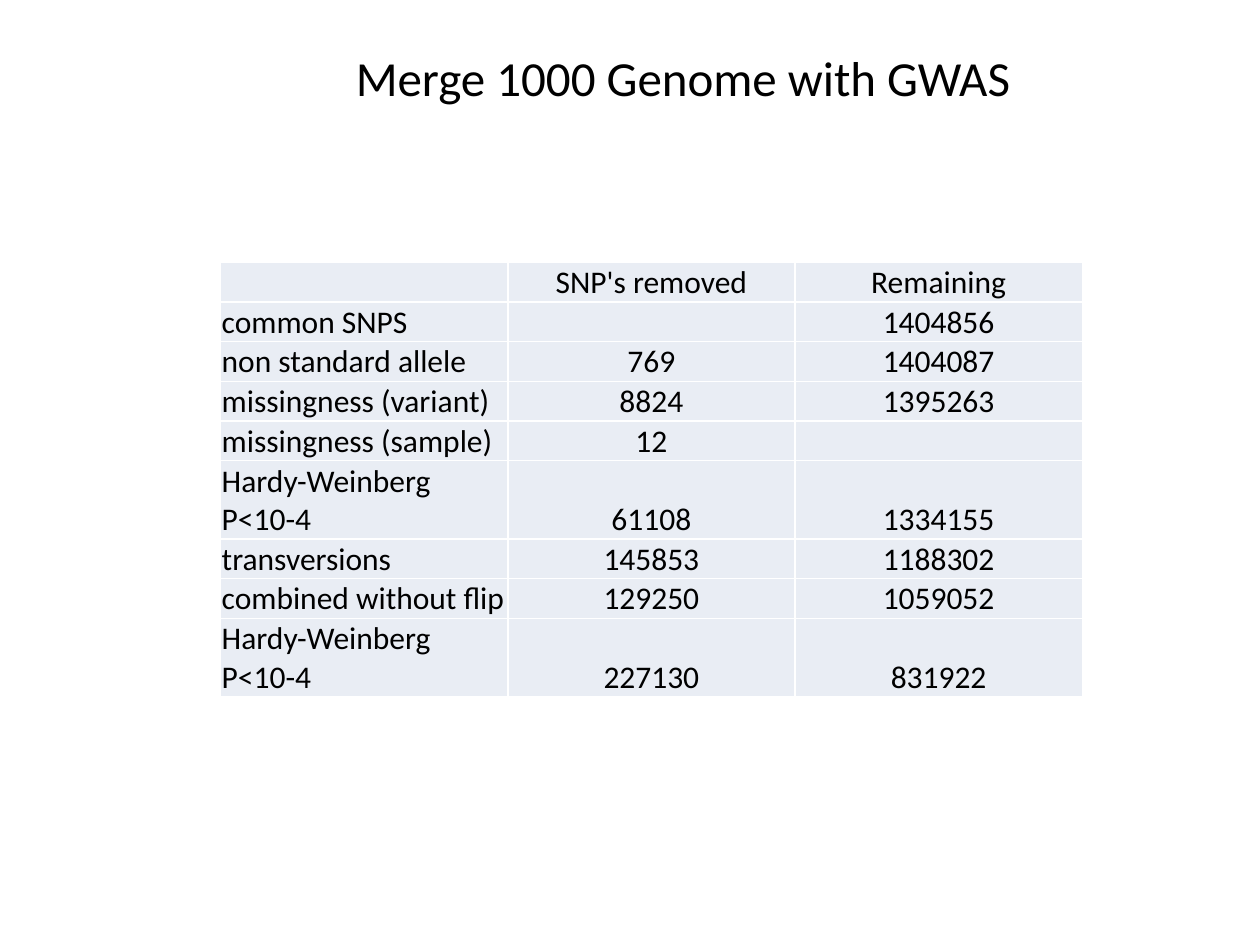
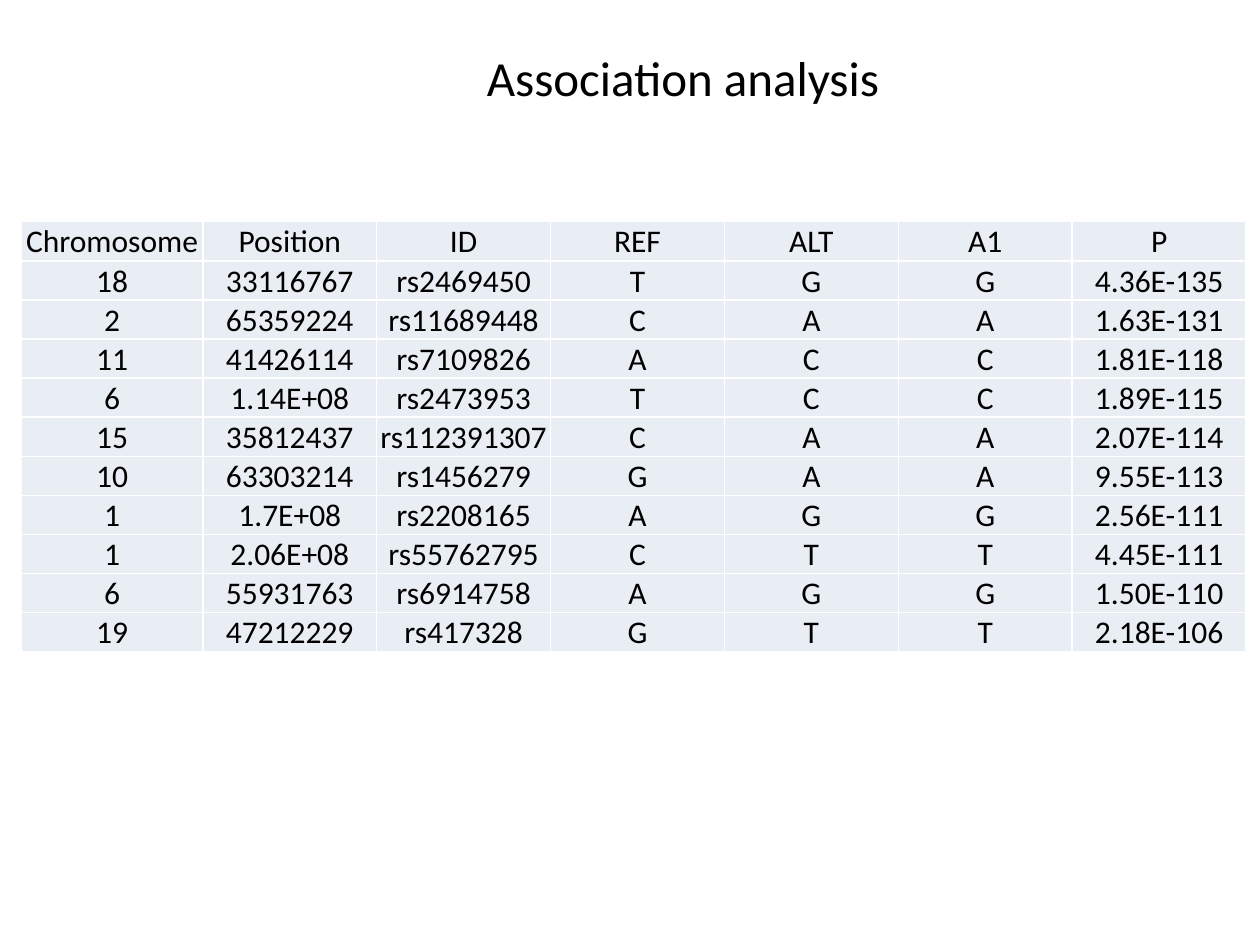
import lxml.etree
import pptx
import pptx.dml.color
import pptx.enum.text
import pptx.oxml.ns
import pptx.util

# Content: each slide has a title and a table
MERGE_STEPS = [
    ("", "SNP's removed", "Remaining"),
    ("common SNPS", "", "1404856"),
    ("non standard allele", "769", "1404087"),
    ("missingness (variant)", "8824", "1395263"),
    ("missingness (sample)", "12", ""),
    ("Hardy-Weinberg P<10-4", "61108", "1334155"),
    ("transversions", "145853", "1188302"),
    ("combined without flip", "129250", "1059052"),
    ("Hardy-Weinberg P<10-4", "227130", "831922"),
]
TOP_HITS = [
    ("Chromosome", "Position", "ID", "REF", "ALT", "A1", "P"),
    ("18", "33116767", "rs2469450", "T", "G", "G", "4.36E-135"),
    ("2", "65359224", "rs11689448", "C", "A", "A", "1.63E-131"),
    ("11", "41426114", "rs7109826", "A", "C", "C", "1.81E-118"),
    ("6", "1.14E+08", "rs2473953", "T", "C", "C", "1.89E-115"),
    ("15", "35812437", "rs112391307", "C", "A", "A", "2.07E-114"),
    ("10", "63303214", "rs1456279", "G", "A", "A", "9.55E-113"),
    ("1", "1.7E+08", "rs2208165", "A", "G", "G", "2.56E-111"),
    ("1", "2.06E+08", "rs55762795", "C", "T", "T", "4.45E-111"),
    ("6", "55931763", "rs6914758", "A", "G", "G", "1.50E-110"),
    ("19", "47212229", "rs417328", "G", "T", "T", "2.18E-106"),
]
SLIDES = [
    {"title": "Merge 1000 Genome with GWAS", "rows": MERGE_STEPS, "corner": (1.75, 2.08),
     "columns": [2.28] * 3, "left_columns": {0}},
    {"title": "Association analysis", "rows": TOP_HITS, "corner": (0.17, 1.76),
     "columns": [1.44] + [1.38] * 6, "left_columns": set()},
]

# Shared look
FONT = "Calibri"
INK, CELL_TINT, GRID = "000000", "E9EDF4", "FFFFFF"
TITLE_BOX = (1.92, 0.33, 7, 0.57)
TITLE_SIZE, CELL_SIZE = 28, 18
ROW_HEIGHT, CELL_INSET = 0.21, 0.01
ALIGN = pptx.enum.text.PP_ALIGN
inch = pptx.util.Inches


def color(hex_code):
    return pptx.dml.color.RGBColor.from_string(hex_code)


def write(frame, text, size, align):
    paragraph = frame.paragraphs[0]
    paragraph.alignment = align
    if text:
        run = paragraph.add_run()
        run.text = text
        run.font.name, run.font.size = FONT, pptx.util.Pt(size)
        run.font.color.rgb = color(INK)


def add_title(slide, text):
    frame = slide.shapes.add_textbox(*map(inch, TITLE_BOX)).text_frame
    frame.word_wrap = True
    frame.auto_size = pptx.enum.text.MSO_AUTO_SIZE.SHAPE_TO_FIT_TEXT
    write(frame, text, TITLE_SIZE, ALIGN.CENTER)


def draw_borders(cell):
    qn = pptx.oxml.ns.qn
    properties = cell._tc.get_or_add_tcPr()
    for side in ("lnL", "lnR", "lnT", "lnB"):
        line = lxml.etree.SubElement(properties, qn("a:" + side), w=str(pptx.util.Pt(1)))
        fill = lxml.etree.SubElement(line, qn("a:solidFill"))
        lxml.etree.SubElement(fill, qn("a:srgbClr"), val=GRID)


def style_cell(cell):
    cell.margin_left = cell.margin_right = cell.margin_top = inch(CELL_INSET)
    cell.margin_bottom = 0
    cell.vertical_anchor = pptx.enum.text.MSO_ANCHOR.BOTTOM
    draw_borders(cell)
    cell.fill.solid()
    cell.fill.fore_color.rgb = color(CELL_TINT)


def add_grid(slide, rows, corner, columns, left_columns):
    size = (sum(columns), ROW_HEIGHT * len(rows))
    table = slide.shapes.add_table(len(rows), len(columns), *map(inch, corner + size)).table
    table.first_row = table.horz_banding = False
    for column, width in zip(table.columns, columns):
        column.width = inch(width)
    for r, row in enumerate(rows):
        table.rows[r].height = inch(ROW_HEIGHT)
        for c, text in enumerate(row):
            cell = table.cell(r, c)
            style_cell(cell)
            align = ALIGN.LEFT if c in left_columns else ALIGN.CENTER
            write(cell.text_frame, text, CELL_SIZE, align)


def main():
    deck = pptx.Presentation()
    deck.slide_width, deck.slide_height = inch(10), inch(7.5)
    for content in SLIDES:
        slide = deck.slides.add_slide(deck.slide_layouts[6])
        add_grid(slide, content["rows"], content["corner"],
                 content["columns"], content["left_columns"])
        add_title(slide, content["title"])
    deck.save("out.pptx")


if __name__ == "__main__":
    main()
